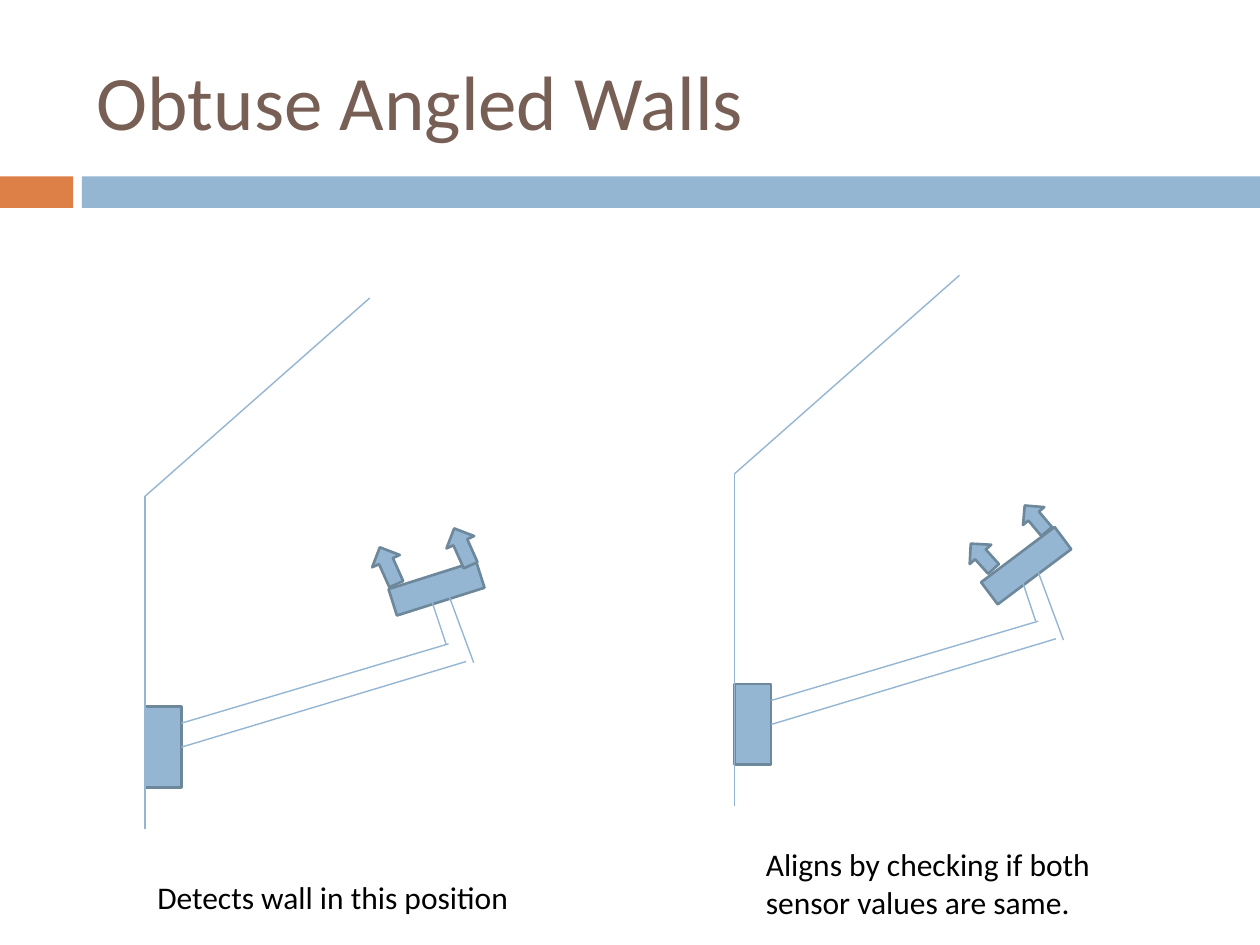
from dataclasses import dataclass
from pptx import Presentation
from pptx.dml.color import RGBColor as Color
from pptx.enum.shapes import MSO_CONNECTOR as Connector, MSO_SHAPE as Preset
from pptx.enum.text import MSO_ANCHOR as Anchor
from pptx.oxml.ns import qn
from pptx.util import Inches, Pt
from lxml.etree import SubElement


@dataclass(frozen=True)
class Theme:
    font: str = "Calibri"
    title_size: float = 44
    caption_size: float = 18
    title: str = "775F55"
    text: str = "000000"
    accent: str = "DD8047"
    blue: str = "94B6D2"
    outline: str = "6D879B"
    thin: float = 0.79
    thick: float = 1.5


theme = Theme()
presentation = Presentation()
presentation.slide_width = Inches(10)
presentation.slide_height = Inches(7.5)
slide = presentation.slides.add_slide(presentation.slide_layouts[6])
column = presentation.slide_width / 100
row = presentation.slide_height / 75


def place(left, top, width, height):
    return [round(size) for size in (left * column, top * row, width * column, height * row)]


def add_block(preset, box, fill, outline=None, rotation=0):
    shape = slide.shapes.add_shape(preset, *place(*box))
    shape.shadow.inherit = False
    shape.rotation = rotation
    shape.fill.solid()
    shape.fill.fore_color.rgb = Color.from_string(fill)
    if outline:
        shape.line.color.rgb = Color.from_string(outline)
        shape.line.width = Pt(theme.thick)
    else:
        shape.line.fill.background()
    return shape


add_block(Preset.RECTANGLE, (0, 14, 5.8, 2.5), theme.accent)
add_block(Preset.RECTANGLE, (6.5, 14, 93.5, 2.5), theme.blue)

segments = [
    (0, 26.4, 0, 0),
    (0, 0, 17.85, -15.75),
    (2.9, 18, 24.1, 11.7),
    (2.9, 19.9, 25.5, 13.1),
    (23.9, 11.7, 22.8, 8.4),
    (26.1, 13.2, 24.1, 7.8),
]
diagrams = [
    (11.5, 39.4, 342.4, [(24, 2.4, 2.4, 3.2, 335.9), (18.1, 3.9, 2.4, 3.2, 335.9)]),
    (58.3, 37.6, 323.1, [(22.8, 2.2, 2.2, 2.7, 319.9), (18.5, 5.2, 2.3, 2.7, 318)]),
]

for left, top, head_angle, arrows in diagrams:
    base = add_block(Preset.RECTANGLE, (left, top + 16.7, 2.9, 6.4), theme.blue, theme.outline)
    add_block(Preset.RECTANGLE, (left + 19.5, top + 6.2, 7.3, 2.2),
              theme.blue, theme.outline, head_angle)
    for index, (x1, y1, x2, y2) in enumerate(segments):
        line = slide.shapes.add_connector(
            Connector.STRAIGHT, *place(left + x1, top + y1, left + x2, top + y2))
        line.line.color.rgb = Color.from_string(theme.blue)
        line.line.width = Pt(theme.thin)
        SubElement(line._element.spPr, qn("a:effectLst"))
        if index == 3:
            line.begin_connect(base, 3)
    for x, y, width, height, angle in arrows:
        add_block(Preset.UP_ARROW, (left + x, top + y, width, height),
                  theme.blue, theme.outline, angle)

texts = [
    ("Obtuse Angled Walls", (6.7, 2.5, 89.2, 10.8), theme.title_size, theme.title, Anchor.MIDDLE),
    ("Detects wall in this position", (11.5, 69.2, 32.7, 4),
     theme.caption_size, theme.text, Anchor.TOP),
    ("Aligns by checking if both sensor values are same.", (59.8, 66.6, 31, 7.1),
     theme.caption_size, theme.text, Anchor.TOP),
]
for wording, box, size, color, anchor in texts:
    frame = slide.shapes.add_textbox(*place(*box)).text_frame
    frame.word_wrap = True
    frame.vertical_anchor = anchor
    paragraph = frame.paragraphs[0]
    paragraph.text = wording
    paragraph.font.name = theme.font
    paragraph.font.size = Pt(size)
    paragraph.font.color.rgb = Color.from_string(color)

presentation.save("out.pptx")
